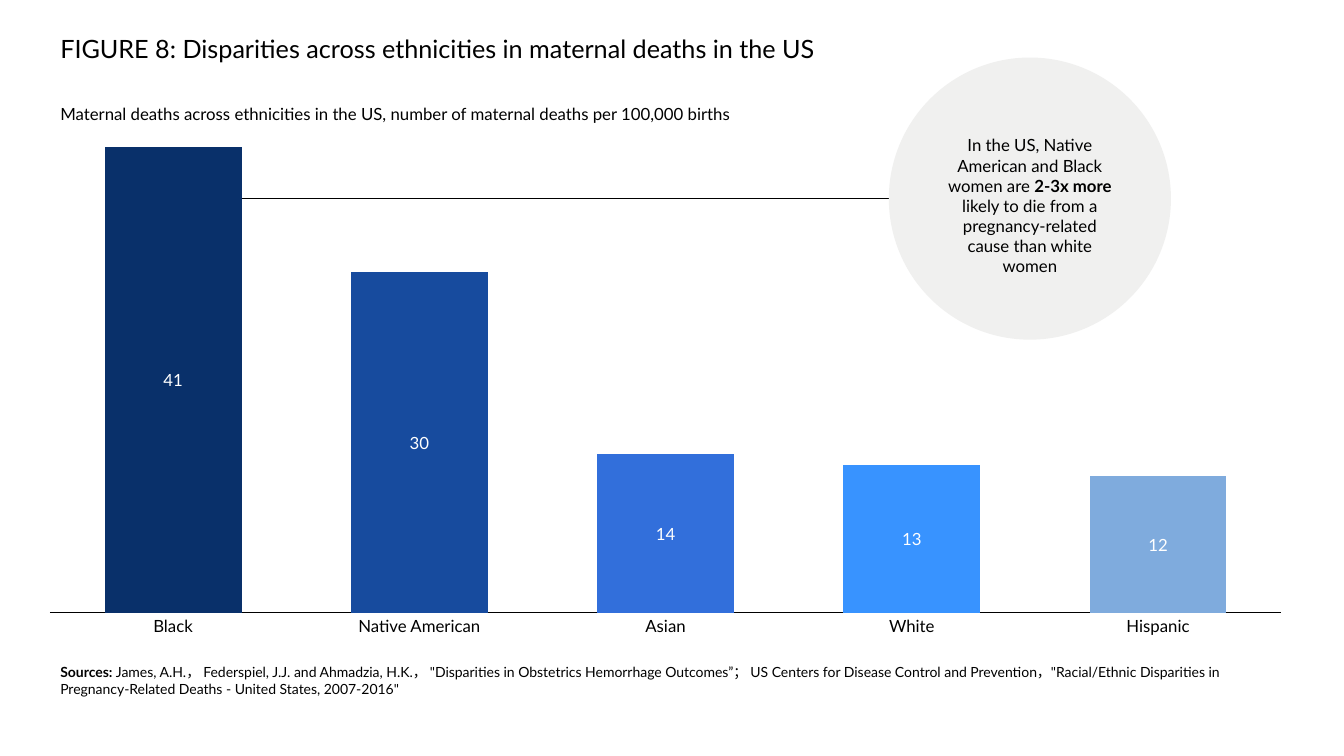
from dataclasses import dataclass

from lxml.etree import SubElement
from pptx import Presentation
from pptx.chart.data import CategoryChartData
from pptx.dml.color import RGBColor
from pptx.enum.chart import XL_CHART_TYPE, XL_LABEL_POSITION, XL_TICK_LABEL_POSITION, XL_TICK_MARK
from pptx.enum.shapes import MSO_CONNECTOR, MSO_SHAPE
from pptx.enum.text import MSO_AUTO_SIZE, PP_ALIGN
from pptx.oxml import parse_xml
from pptx.oxml.ns import nsdecls, qn
from pptx.util import Cm, Pt


@dataclass(frozen=True)
class Theme:
    font: str = "Lato"
    text: RGBColor = RGBColor(0, 0, 0)
    label: RGBColor = RGBColor(255, 255, 255)
    circle: RGBColor = RGBColor.from_string("F0F0EF")
    title_size: Pt = Pt(18)
    body_size: Pt = Pt(12)
    source_size: Pt = Pt(10)


THEME = Theme()

# ethnicity, deaths per 100,000 births, bar colour, label width in cm
GROUPS = [
    ("Black", 41, "09306A", 1.07),
    ("Native American", 30, "174B9E", 3.23),
    ("Asian", 14, "326FDB", 1.09),
    ("White", 13, "3893FF", 1.19),
    ("Hispanic", 12, "7FABDD", 1.68),
]
GAP_WIDTH = 80
PLOT = {"x": 0.007, "y": 0.056, "w": 0.985, "h": 0.888}

CALLOUT = [
    [("In the US, Native", False)],
    [("American and Black", False)],
    [("women are ", False), ("2-3x more", True)],
    [("likely to die from a", False)],
    [("pregnancy-related", False)],
    [("cause than white", False)],
    [("women", False)],
]
SOURCES = [[
    ("Sources: ", True),
    ("James, A.H.， Federspiel, J.J. and Ahmadzia, H.K.， \"Disparities in Obstetrics "
     "Hemorrhage Outcomes”； US Centers for Disease Control and Prevention，\"Racial/Ethnic "
     "Disparities in Pregnancy-Related Deaths - United States, 2007-2016\"", False),
]]


def style_font(font, size, color=THEME.text, bold=False):
    font.name = THEME.font
    font.size = size
    font.bold = bold
    font.color.rgb = color


def add_text(s, box, lines, size, align=PP_ALIGN.LEFT, wrap=False):
    """Add a text box; each line is a list of (text, bold) runs."""
    tf = s.shapes.add_textbox(*box).text_frame
    tf.word_wrap = wrap
    tf.auto_size = MSO_AUTO_SIZE.SHAPE_TO_FIT_TEXT
    for i, line in enumerate(lines):
        p = tf.add_paragraph() if i else tf.paragraphs[0]
        p.alignment = align
        for text, bold in line:
            r = p.add_run()
            r.text = text
            style_font(r.font, size, bold=bold)
    return tf


def set_plot_layout(chart):
    """Fix the inner plot area as fractions of the chart frame."""
    plot_area = chart._chartSpace.chart.plotArea
    for old in plot_area.findall(qn("c:layout")):
        plot_area.remove(old)
    layout = parse_xml(f"<c:layout {nsdecls('c')}><c:manualLayout/></c:layout>")
    settings = {"layoutTarget": "inner", "xMode": "edge", "yMode": "edge", **PLOT}
    for tag, value in settings.items():
        SubElement(layout[0], qn(f"c:{tag}")).set("val", str(value))
    plot_area.insert(0, layout)


def add_bars(s, box):
    data = CategoryChartData()
    data.categories = [name for name, *_ in GROUPS]
    values = [value for _, value, *_ in GROUPS]
    data.add_series("Maternal deaths per 100,000 births", values)
    chart = s.shapes.add_chart(XL_CHART_TYPE.COLUMN_STACKED, *box, data).chart
    chart.has_legend = False
    chart.has_title = False
    style_font(chart.font, THEME.body_size)
    set_plot_layout(chart)

    axis = chart.category_axis
    axis.tick_label_position = XL_TICK_LABEL_POSITION.NONE
    axis.major_tick_mark = XL_TICK_MARK.NONE
    axis.format.line.color.rgb = THEME.text
    axis.format.line.width = Pt(0.75)
    scale = chart.value_axis
    scale.minimum_scale = 0
    scale.maximum_scale = max(values)
    scale.has_major_gridlines = False
    scale.visible = False

    plot = chart.plots[0]
    plot.gap_width = GAP_WIDTH
    plot.overlap = 100
    plot.vary_by_categories = False
    plot.has_data_labels = True
    labels = plot.data_labels
    labels.show_value = True
    labels.position = XL_LABEL_POSITION.CENTER
    style_font(labels.font, THEME.body_size, THEME.label)
    for i, (_, _, color, _) in enumerate(GROUPS):
        fill = plot.series[0].points[i].format.fill
        fill.solid()
        fill.fore_color.rgb = RGBColor.from_string(color)


def add_chart_region(s, box):
    """Place the bars and centre a name under each; return the first bar's right edge."""
    add_bars(s, box)
    left, top, width, height = box
    slot = width * PLOT["w"] / len(GROUPS)
    first_centre = left + width * PLOT["x"] + slot / 2
    label_top = top + height - Cm(0.61)
    for i, (name, _, _, label_width) in enumerate(GROUPS):
        w = Cm(label_width)
        label_left = int(first_centre + i * slot - w / 2)
        tf = add_text(s, (label_left, label_top, w, Cm(0.46)), [[(name, False)]],
                      THEME.body_size, PP_ALIGN.CENTER)
        tf.auto_size = MSO_AUTO_SIZE.NONE
        tf.margin_left = tf.margin_right = tf.margin_top = tf.margin_bottom = 0
        tf.paragraphs[0].line_spacing = 0.9
    return int(first_centre + slot / (1 + GAP_WIDTH / 100) / 2)


def add_callout(s, box, line_start):
    """Place the circle with its message and a line back to the first bar."""
    left, top, width, height = box
    middle = top + height // 2
    line = s.shapes.add_connector(MSO_CONNECTOR.STRAIGHT, line_start, middle, left, middle)
    line.line.color.rgb = THEME.text
    line.line.width = Pt(1)
    SubElement(line._element.spPr, qn("a:effectLst"))

    circle = s.shapes.add_shape(MSO_SHAPE.OVAL, *box)
    circle.shadow.inherit = False
    circle.fill.solid()
    circle.fill.fore_color.rgb = THEME.circle
    circle.line.fill.background()

    inset = Cm(1.09)
    text_box = (left + inset, top + Cm(1.83), width - 2 * inset, Cm(3.84))
    add_text(s, text_box, CALLOUT, THEME.body_size, PP_ALIGN.CENTER)


def add_headings(s, box):
    left, top, width, height = box
    add_text(s, (left, top, width, Cm(1.02)),
             [[("FIGURE 8: Disparities across ethnicities in maternal deaths in the US", False)]],
             THEME.title_size)
    subtitle_height = Cm(0.76)
    add_text(s, (left, top + height - subtitle_height, Cm(18.31), subtitle_height),
             [[("Maternal deaths across ethnicities in the US, "
                "number of maternal deaths per 100,000 births", False)]],
             THEME.body_size)


def main():
    prs = Presentation()
    prs.slide_width, prs.slide_height = Cm(33.87), Cm(19.05)
    s = prs.slides.add_slide(prs.slide_layouts[6])
    bar_edge = add_chart_region(s, (Cm(1.04), Cm(2.97), Cm(31.5), Cm(13.21)))
    add_headings(s, (Cm(1.27), Cm(0.71), Cm(20.7), Cm(2.54)))
    add_callout(s, (Cm(22.4), Cm(1.45), Cm(7.11), Cm(7.11)), bar_edge)
    add_text(s, (Cm(1.27), Cm(16.59), Cm(31.29), Cm(1.12)), SOURCES,
             THEME.source_size, wrap=True)
    prs.save("out.pptx")


if __name__ == "__main__":
    main()
